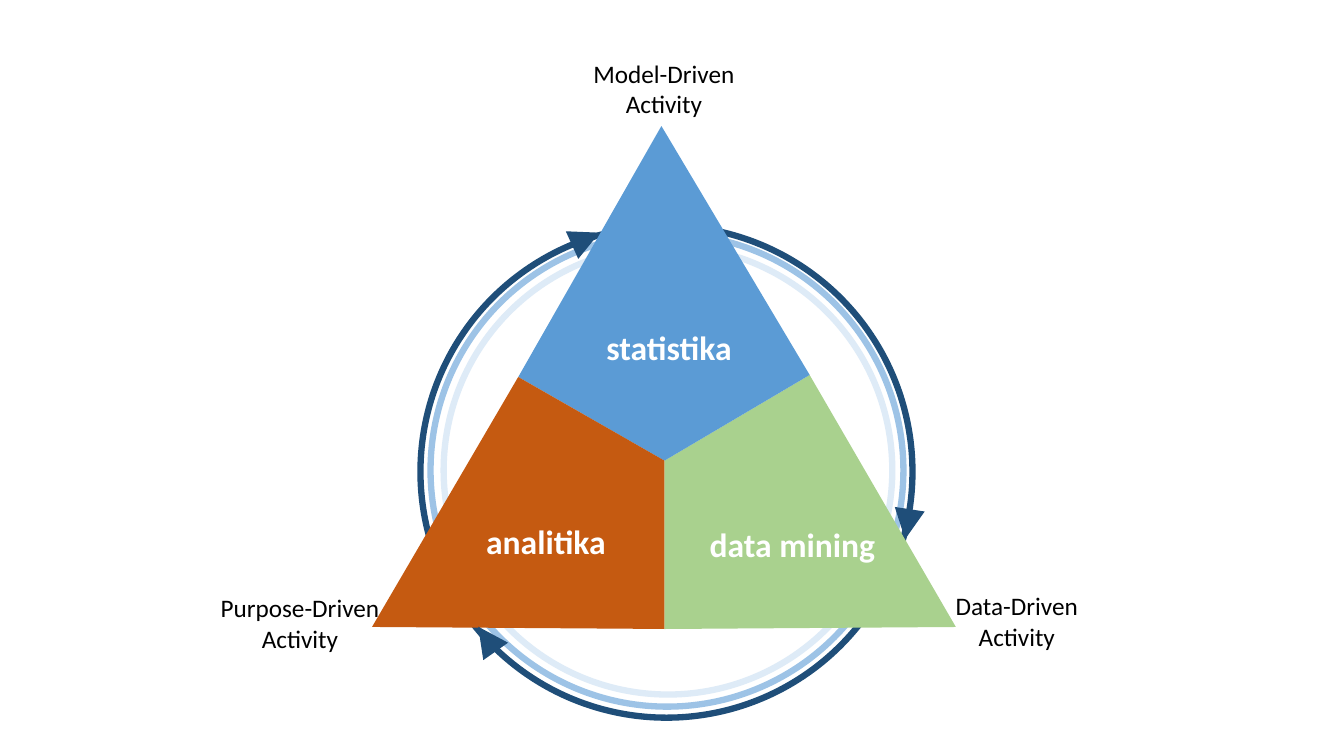
from pptx import Presentation
from pptx import util as u
from pptx.dml.color import RGBColor
from pptx.enum import shapes, text

EMU_PER_PX = 9144  # 100 px to the inch

WHITE = RGBColor(0xFF, 0xFF, 0xFF)
BLACK = RGBColor(0x00, 0x00, 0x00)
PALE_BLUE = RGBColor(0xDE, 0xEB, 0xF7)
LIGHT_BLUE = RGBColor(0x9D, 0xC3, 0xE6)
NAVY = RGBColor(0x1F, 0x4E, 0x79)
BLUE = RGBColor(0x5B, 0x9B, 0xD5)
GREEN = RGBColor(0xA9, 0xD1, 0x8E)
ORANGE = RGBColor(0xC5, 0x5A, 0x11)

CORNER_FONT = {"name": "Calibri", "size": u.Pt(18), "bold": False}
SECTOR_FONT = {"name": "Calibri", "size": u.Pt(24), "bold": True}

# Triangle corners, points on its sides, and the point where the sectors meet
APEX, LEFT_CORNER, RIGHT_CORNER = (656, 125), (369, 622), (948, 622)
LEFT_SIDE, RIGHT_SIDE, BASE = (514, 374), (803, 372), (659, 624)
CENTRE = (659, 457)


def px(*lengths):
    return [u.Emu(length * EMU_PER_PX) for length in lengths]


def add_ring(slide, left, top, diameter, color):
    ring = slide.shapes.add_shape(
        shapes.MSO_SHAPE.OVAL, *px(left, top, diameter, diameter))
    ring.shadow.inherit = False
    ring.fill.background()
    ring.line.color.rgb = color
    ring.line.width = u.Pt(4.5)


def fill_plain(shape, color):
    shape.shadow.inherit = False
    shape.fill.solid()
    shape.fill.fore_color.rgb = color
    shape.line.fill.background()


def add_sector(slide, corners, color):
    outline = slide.shapes.build_freeform(*corners[0], scale=EMU_PER_PX)
    outline.add_line_segments(corners[1:], close=True)
    fill_plain(outline.convert_to_shape(), color)


def add_label(slide, wording, left, top, width, height, color, font_format):
    label = slide.shapes.add_textbox(*px(left, top, width, height))
    frame = label.text_frame
    frame.word_wrap = True
    frame.auto_size = text.MSO_AUTO_SIZE.SHAPE_TO_FIT_TEXT
    paragraph = frame.paragraphs[0]
    paragraph.text = wording
    paragraph.alignment = text.PP_ALIGN.CENTER
    font = paragraph.runs[0].font
    for attribute, value in font_format.items():
        setattr(font, attribute, value)
    font.color.rgb = color


def add_ring_arrow(slide, left, top, rotation):
    arrow = slide.shapes.add_shape(
        shapes.MSO_SHAPE.ISOSCELES_TRIANGLE, *px(left, top, 30, 30))
    arrow.rotation = rotation
    fill_plain(arrow, NAVY)


def main():
    prs = Presentation()
    prs.slide_width, prs.slide_height = px(1333, 750)
    slide = prs.slides.add_slide(prs.slide_layouts[6])

    # Cycle rings, inner to outer
    for left, top, diameter, color in (
        (440, 244, 445, PALE_BLUE),
        (427, 232, 469, LIGHT_BLUE),
        (417, 224, 488, NAVY),
    ):
        add_ring(slide, left, top, diameter, color)

    # Sectors of the triangle
    add_sector(slide, [RIGHT_CORNER, RIGHT_SIDE, CENTRE, BASE], GREEN)
    add_sector(slide, [APEX, LEFT_SIDE, CENTRE, RIGHT_SIDE], BLUE)
    add_sector(slide, [LEFT_CORNER, BASE, CENTRE, LEFT_SIDE], ORANGE)

    # Activities at the corners
    for wording, left, top, width in (
        ("Purpose-Driven Activity", 195, 583, 205),
        ("Model-Driven Activity", 573, 53, 171),
        ("Data-Driven Activity", 923, 581, 171),
    ):
        add_label(slide, wording, left, top, width, 71, BLACK, CORNER_FONT)

    # Names of the sectors
    for wording, left, top, width in (
        ("statistika", 584, 319, 159),
        ("analitika", 462, 512, 159),
        ("data mining", 693, 515, 186),
    ):
        add_label(slide, wording, left, top, width, 50, WHITE, SECTOR_FONT)

    # Arrowheads on the outer ring
    for left, top, rotation in (
        (885, 505, 188.7), (468, 619, 324.8), (566, 222, 65.8),
    ):
        add_ring_arrow(slide, left, top, rotation)

    prs.save("out.pptx")


if __name__ == "__main__":
    main()
